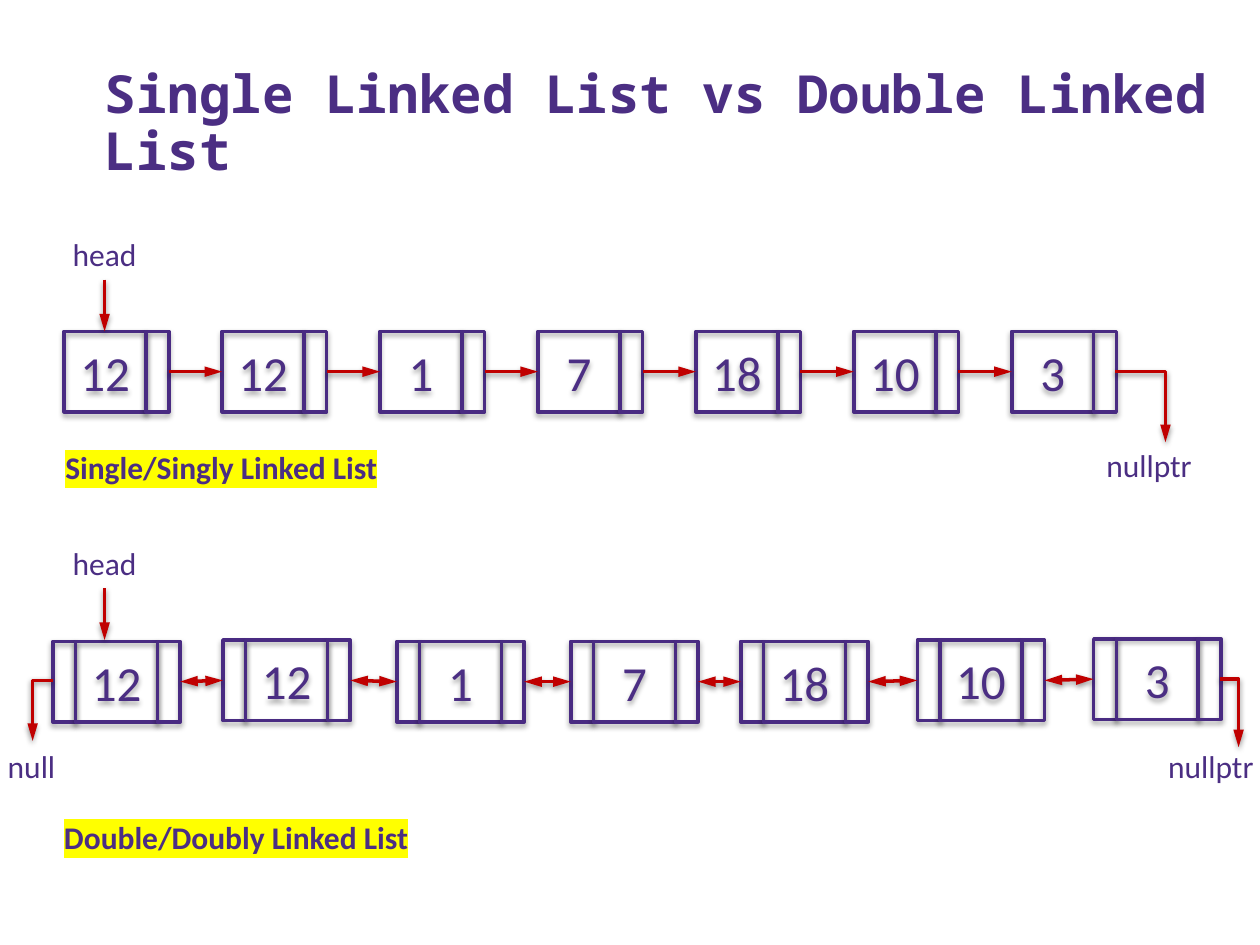
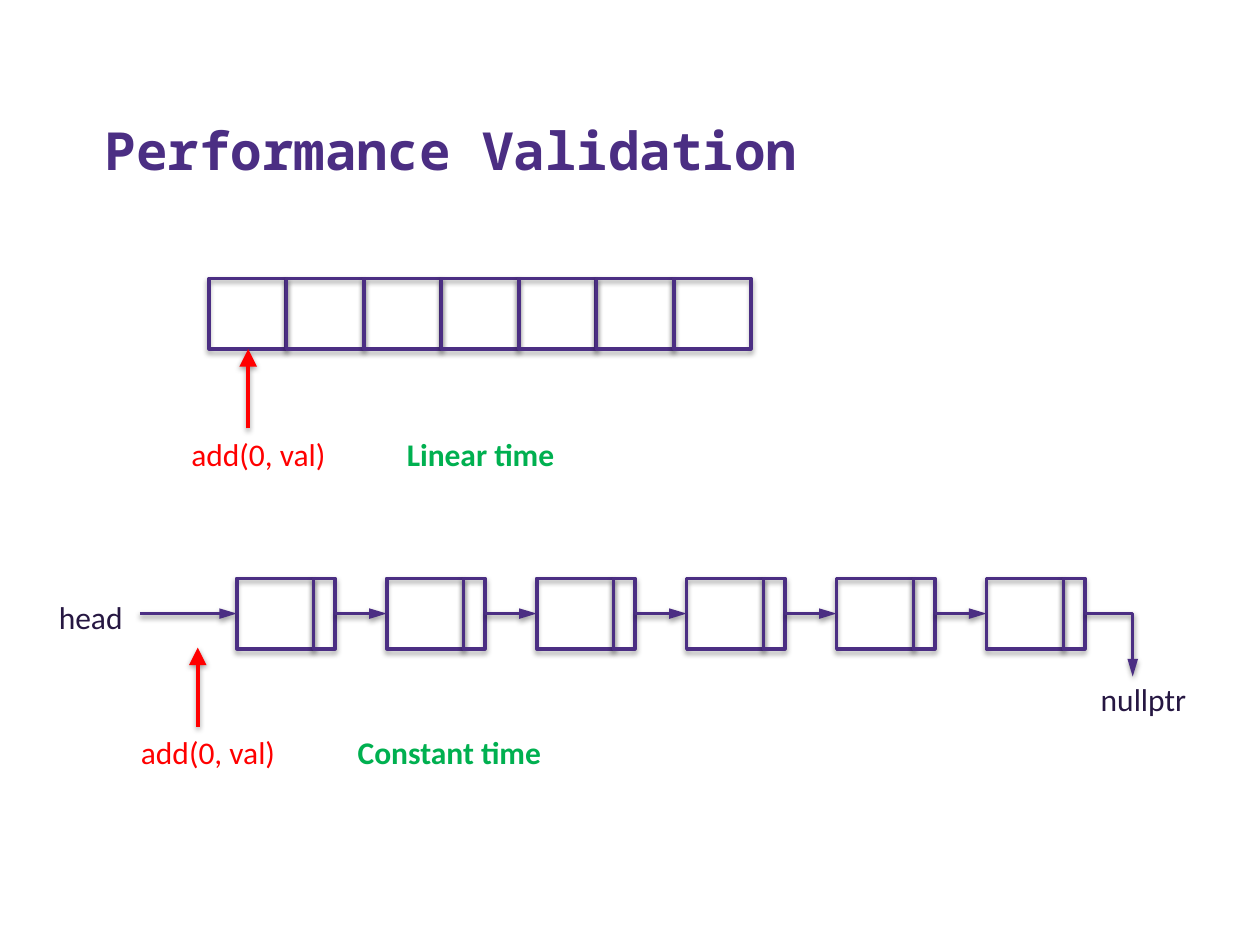
from dataclasses import dataclass

from lxml.etree import SubElement
from pptx import Presentation
from pptx.dml.color import RGBColor
from pptx.enum.shapes import MSO_CONNECTOR, MSO_SHAPE
from pptx.enum.text import MSO_ANCHOR, MSO_AUTO_SIZE, PP_ALIGN
from pptx.oxml.ns import qn
from pptx.util import Inches, Pt

PURPLE = RGBColor(0x4B, 0x2E, 0x83)
NODE_PURPLE = RGBColor(0x49, 0x2B, 0x82)
DARK_PURPLE = RGBColor(0x26, 0x17, 0x42)
DARK_RED = RGBColor(0xC0, 0x00, 0x00)
RED = RGBColor(0xFF, 0x00, 0x00)
GREEN = RGBColor(0x00, 0xB0, 0x50)
YELLOW = RGBColor(0xFF, 0xFF, 0x00)

BODY_FONT = "Calibri"
TITLE_FONT = "Noto Sans Mono"
LINE_WIDTH = Pt(2)
LABEL_HEIGHT = 0.4


@dataclass(frozen=True)
class Node:
    left: float
    top: float
    value: str = ""


@dataclass(frozen=True)
class ListStyle:
    value_width: float
    link_width: float
    height: float
    outline: RGBColor
    arrow: RGBColor
    double: bool = False

    @property
    def node_width(self) -> float:
        return self.value_width + self.link_width * (2 if self.double else 1)


@dataclass(frozen=True)
class Label:
    text: str
    left: float
    top: float
    width: float
    color: RGBColor = PURPLE
    bold: bool = False
    centered: bool = False
    highlight: RGBColor | None = None


SINGLE = ListStyle(0.65, 0.18, 0.64, NODE_PURPLE, DARK_RED)
DOUBLE = ListStyle(0.65, 0.18, 0.64, NODE_PURPLE, DARK_RED, double=True)
EMPTY = ListStyle(0.61, 0.17, 0.56, PURPLE, PURPLE)

VALUES = ["12", "12", "1", "7", "18", "10", "3"]
DOUBLE_LEFTS = [0.42, 1.77, 3.15, 4.53, 5.88, 7.28, 8.68]
DOUBLE_TOPS = [5.09, 5.08, 5.09, 5.09, 5.09, 5.08, 5.07]


def spread(first: float, last: float, count: int) -> list[float]:
    """Evenly spaced positions from first to last."""
    return [first + (last - first) * i / (count - 1) for i in range(count)]


def add_shadow(shape, alpha: int, distance: float) -> None:
    sp_pr = shape._element.spPr
    effects = sp_pr.find(qn("a:effectLst"))
    if effects is None:
        effects = SubElement(sp_pr, qn("a:effectLst"))
    shadow = SubElement(effects, qn("a:outerShdw"), blurRad=str(Pt(3.1)),
                        dist=str(Pt(distance)), dir="5400000", rotWithShape="0")
    black = SubElement(shadow, qn("a:srgbClr"), val="000000")
    SubElement(black, qn("a:alpha"), val=str(alpha * 1000))


def add_title(s, text: str, left: float, top: float, width: float, height: float) -> None:
    title = s.shapes.title
    title.left, title.top = Inches(left), Inches(top)
    title.width, title.height = Inches(width), Inches(height)
    tf = title.text_frame
    tf.text = text
    tf.auto_size = MSO_AUTO_SIZE.NONE
    tf.vertical_anchor = MSO_ANCHOR.BOTTOM
    tf.margin_right = 0
    p = tf.paragraphs[0]
    p.alignment = PP_ALIGN.LEFT
    p.line_spacing = 0.9
    font = p.runs[0].font
    font.name, font.size, font.bold = TITLE_FONT, Pt(30), True
    font.color.rgb = PURPLE


def add_label(s, label: Label) -> None:
    box = s.shapes.add_textbox(Inches(label.left), Inches(label.top),
                               Inches(label.width), Inches(LABEL_HEIGHT))
    tf = box.text_frame
    tf.word_wrap = True
    tf.text = label.text
    p = tf.paragraphs[0]
    p.alignment = PP_ALIGN.CENTER if label.centered else PP_ALIGN.LEFT
    r = p.runs[0]
    r.font.name, r.font.size, r.font.bold = BODY_FONT, Pt(18), label.bold
    r.font.color.rgb = label.color
    if label.highlight is not None:
        tf.word_wrap = False
        r_pr = r._r.get_or_add_rPr()
        highlight = SubElement(r_pr, qn("a:highlight"))
        SubElement(highlight, qn("a:srgbClr"), val=str(label.highlight))
        r_pr.find(qn("a:solidFill")).addnext(highlight)


def add_cell(s, left: float, top: float, width: float, height: float,
             outline: RGBColor, text: str = "") -> None:
    cell = s.shapes.add_shape(MSO_SHAPE.RECTANGLE, Inches(left), Inches(top),
                              Inches(width), Inches(height))
    cell.fill.background()
    cell.line.color.rgb = outline
    cell.line.width = LINE_WIDTH
    cell.shadow.inherit = False
    add_shadow(cell, 35, 1.8)
    if text:
        tf = cell.text_frame
        tf.text = text
        tf.vertical_anchor = MSO_ANCHOR.MIDDLE
        p = tf.paragraphs[0]
        p.alignment = PP_ALIGN.CENTER
        font = p.runs[0].font
        font.name, font.size = BODY_FONT, Pt(28)
        font.color.rgb = PURPLE


def add_arrow(s, start: tuple[float, float], end: tuple[float, float], color: RGBColor,
              bent: bool = False, both_ends: bool = False, head_width: str = "med") -> None:
    kind = MSO_CONNECTOR.ELBOW if bent else MSO_CONNECTOR.STRAIGHT
    arrow = s.shapes.add_connector(kind, *map(Inches, start + end))
    if bent:
        arrow._element.spPr.find(qn("a:prstGeom")).set("prst", "bentConnector2")
    arrow.line.color.rgb = color
    arrow.line.width = LINE_WIDTH
    ln = arrow.line._get_or_add_ln()
    for tag in ["a:headEnd", "a:tailEnd"] if both_ends else ["a:tailEnd"]:
        SubElement(ln, qn(tag), type="triangle", w=head_width, len="lg")
    add_shadow(arrow, 38, 1.6)


def add_linked_list(s, nodes: list[Node], style: ListStyle) -> None:
    middle = style.height / 2
    for node in nodes:
        left = node.left
        if style.double:
            add_cell(s, left, node.top, style.link_width, style.height, style.outline)
            left += style.link_width
        add_cell(s, left, node.top, style.value_width, style.height, style.outline, node.value)
        add_cell(s, left + style.value_width, node.top, style.link_width, style.height,
                 style.outline)
    for node, following in zip(nodes, nodes[1:]):
        add_arrow(s, (node.left + style.node_width, node.top + middle),
                  (following.left, following.top + middle), style.arrow,
                  both_ends=style.double)


def build_comparison(prs) -> None:
    s = prs.slides.add_slide(prs.slide_layouts[5])
    add_title(s, "Single Linked List vs Double Linked List", 0.73, 0.41, 8.95, 1.08)

    lefts = spread(0.51, 8.03, len(VALUES))
    add_linked_list(s, [Node(x, 2.63, v) for x, v in zip(lefts, VALUES)], SINGLE)
    add_linked_list(s, [Node(*n) for n in zip(DOUBLE_LEFTS, DOUBLE_TOPS, VALUES)], DOUBLE)

    for head_top in (1.82, 4.27):
        add_label(s, Label("head", 0.42, head_top, 0.82, centered=True))
        add_arrow(s, (0.83, head_top + 0.4), (0.83, head_top + 0.81), DARK_RED)
    for start, end in [((8.85, 2.95), (9.25, 3.51)),
                       ((9.68, 5.39), (9.83, 5.93)),
                       ((0.42, 5.4), (0.26, 5.88))]:
        add_arrow(s, start, end, DARK_RED, bent=True)
    for label in [
        Label("nullptr", 8.58, 3.49, 1.08, centered=True),
        Label("nullptr", 9.07, 5.88, 1.08, centered=True),
        Label("null", -0.16, 5.88, 0.82, centered=True),
        Label("Single/Singly Linked List", 0.42, 3.51, 2.7, bold=True, highlight=YELLOW),
        Label("Double/Doubly Linked List", 0.41, 6.44, 2.96, bold=True, highlight=YELLOW),
    ]:
        add_label(s, label)


def build_performance(prs) -> None:
    s = prs.slides.add_slide(prs.slide_layouts[5])
    add_title(s, "Performance Validation", 0.73, 0.53, 8.5, 0.96)

    for left in spread(1.66, 5.35, 7):
        add_cell(s, left, 2.21, 0.61, 0.56, PURPLE)
    add_linked_list(s, [Node(x, 4.59) for x in spread(1.88, 7.83, 6)], EMPTY)
    add_arrow(s, (1.11, 4.87), (1.88, 4.87), PURPLE)
    add_arrow(s, (8.61, 4.87), (8.99, 5.37), PURPLE, bent=True)
    add_label(s, Label("head", 0.33, 4.7, 0.78, DARK_PURPLE, centered=True))
    add_label(s, Label("nullptr", 8.6, 5.35, 0.95, DARK_PURPLE, centered=True))

    for left, top, cost, cost_left, cost_width in [
        (1.42, 3.4, "Linear time", 3.13, 1.38),
        (1.02, 5.77, "Constant time", 2.74, 1.67),
    ]:
        add_arrow(s, (left + 0.55, top), (left + 0.55, top - 0.63), RED, head_width="lg")
        add_label(s, Label("add(0, val)", left, top, 1.7, RED))
        add_label(s, Label(cost, cost_left, top, cost_width, GREEN, bold=True))


def main() -> None:
    prs = Presentation()
    prs.slide_width, prs.slide_height = Inches(10), Inches(7.5)
    build_comparison(prs)
    build_performance(prs)
    prs.save("out.pptx")


if __name__ == "__main__":
    main()
